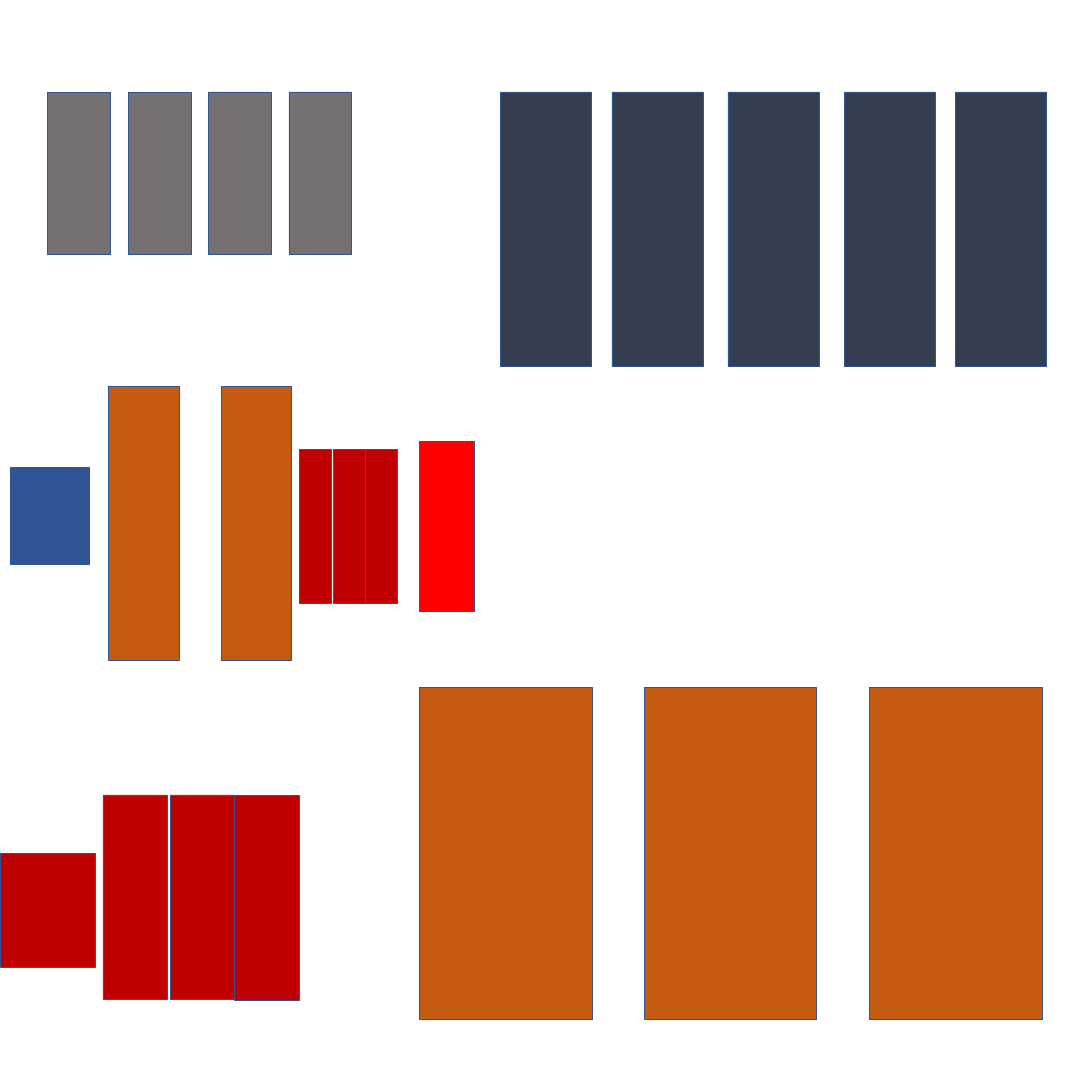
from pptx import Presentation
from pptx.dml.color import RGBColor as RGB
from pptx.enum.shapes import MSO_SHAPE as Shape
from pptx.util import Pt

PX = 9144  # EMU per px, 100 px to the inch
SIDE = 2400
EDGE = "325491"
NAVY, RUST, GREY = "333F50", "C55A11", "767171"
WINE, RED, BLUE = "C00000", "FF0000", "2F5597"

# lefts, top, width, height, fill
ROWS = [
    ((1100, 1345, 1600, 1855, 2100), 202, 200, 603, NAVY),
    ((922, 1416, 1911), 1511, 379, 730, RUST),
    ((239, 486), 849, 155, 603, RUST),
    ((658, 733, 803), 987, 71, 340, WINE),
    ((516,), 1748, 142, 450, WINE),
    ((374, 226), 1747, 142, 450, WINE),
    ((921,), 971, 122, 372, RED),
    ((22,), 1027, 175, 213, BLUE),
    ((105, 282), 203, 138, 357, GREY),
    ((458, 635), 202, 138, 357, GREY),
    ((0,), 1876, 210, 250, WINE),
]


def paint(fill, tone):
    fill.solid()
    fill.fore_color.rgb = RGB.from_string(tone)


def add_box(slide, left, top, width, height, tone):
    box = slide.shapes.add_shape(
        Shape.RECTANGLE, left * PX, top * PX, width * PX, height * PX)
    box.shadow.inherit = False
    paint(box.fill, tone)
    paint(box.line.fill, EDGE)
    box.line.width = Pt(1)


def add_row(slide, lefts, top, width, height, tone):
    for left in lefts:
        add_box(slide, left, top, width, height, tone)


def main():
    deck = Presentation()
    deck.slide_width = deck.slide_height = SIDE * PX
    slide = deck.slides.add_slide(deck.slide_layouts[6])
    paint(slide.background.fill, "FFFFFF")
    for row in ROWS:
        add_row(slide, *row)
    deck.save("out.pptx")


if __name__ == "__main__":
    main()
